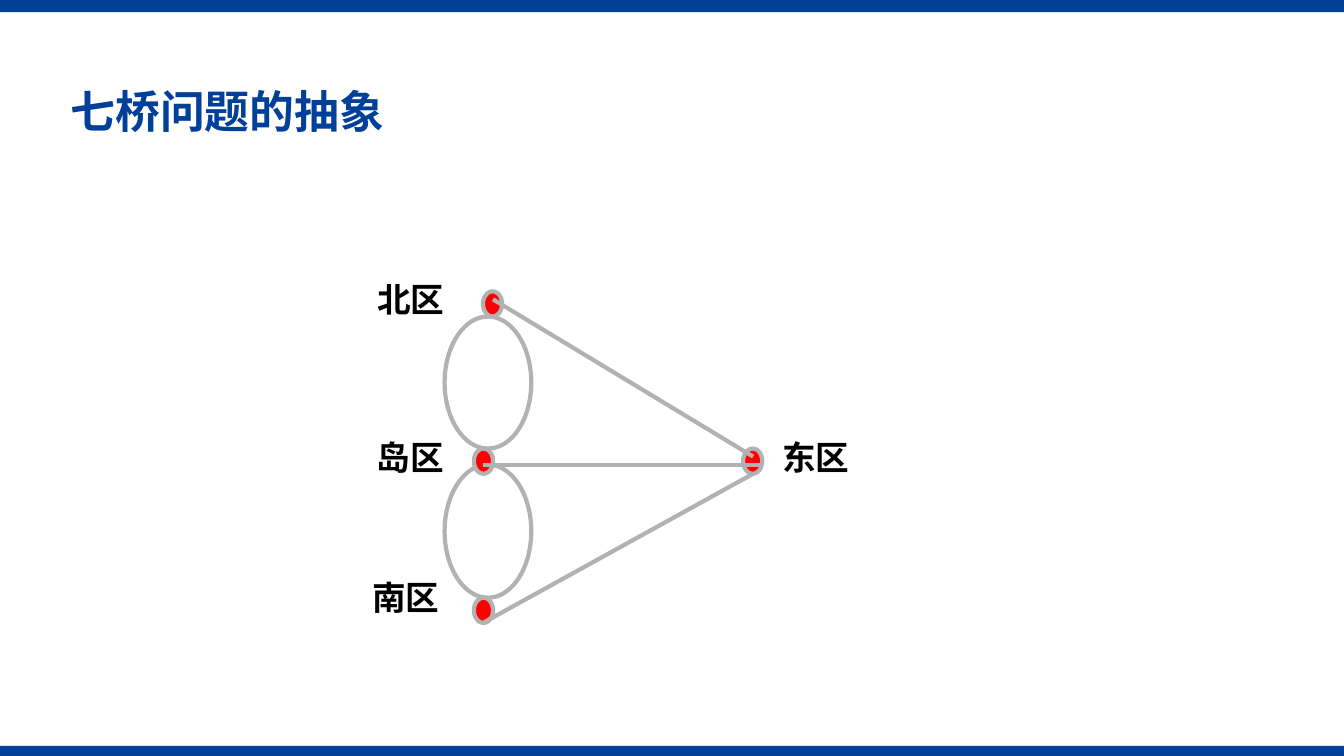
import pptx
import pptx.dml.color
import pptx.enum.shapes
import pptx.enum.text
import pptx.oxml.ns
import pptx.util
from dataclasses import dataclass
from lxml import etree

Inches = pptx.util.Inches
Pt = pptx.util.Pt
RGB = pptx.dml.color.RGBColor.from_string
SHAPE = pptx.enum.shapes.MSO_SHAPE
ALIGN = pptx.enum.text.PP_ALIGN
ANCHOR = pptx.enum.text.MSO_ANCHOR
qn = pptx.oxml.ns.qn


@dataclass(frozen=True)
class Theme:
    blue: str = "004098"
    gray: str = "B2B2B2"
    red: str = "FF0000"
    black: str = "000000"
    title_size: int = 32
    label_size: int = 24
    line_width: int = 3
    title_font: str = "Noto Sans CJK SC"
    label_font: str = "Times New Roman"
    cjk_font: str = "Noto Sans CJK SC"


THEME = Theme()


def apply(obj, values):
    for name, value in values.items():
        setattr(obj, name, value)


def set_line(line):
    line.color.rgb = RGB(THEME.gray)
    line.width = Pt(THEME.line_width)


def add_figure(s, kind, box, fill=None, outlined=True):
    sp = s.shapes.add_shape(kind, *map(Inches, box))
    sp.shadow.inherit = False
    if fill:
        sp.fill.solid()
        sp.fill.fore_color.rgb = RGB(fill)
    else:
        sp.fill.background()
    if outlined:
        set_line(sp.line)
    else:
        sp.line.fill.background()


def add_bridge(s, start, end):
    cx = s.shapes.add_connector(
        pptx.enum.shapes.MSO_CONNECTOR.STRAIGHT, *map(Inches, start + end))
    set_line(cx.line)
    etree.SubElement(cx._element.spPr, qn("a:effectLst"))


def add_text(s, text, box, frame, para, font, color):
    tf = s.shapes.add_textbox(*map(Inches, box)).text_frame
    apply(tf, {"word_wrap": True, **frame})
    p = tf.paragraphs[0]
    apply(p, para)
    r = p.add_run()
    r.text = text
    apply(r.font, {"bold": True, **font})
    r.font.color.rgb = RGB(color)
    ea = etree.SubElement(r.font._element, qn("a:ea"))
    ea.set("typeface", THEME.cjk_font)


def add_title(s, text):
    add_text(s, text, (0.6, 0.75, 12.26, 0.77),
             {"vertical_anchor": ANCHOR.MIDDLE},
             {"line_spacing": 0.9},
             {"name": THEME.title_font, "size": Pt(THEME.title_size)},
             THEME.blue)


def add_label(s, text, left, top, width):
    add_text(s, text, (left, top, width, 0.52),
             {"margin_left": Inches(0.07), "margin_right": Inches(0.07),
              "margin_top": Inches(0.04), "margin_bottom": Inches(0.04)},
             {"alignment": ALIGN.CENTER},
             {"name": THEME.label_font, "size": Pt(THEME.label_size)},
             THEME.black)


def main():
    prs = pptx.Presentation()
    apply(prs, {"slide_width": Inches(13.33), "slide_height": Inches(7.5)})
    s = prs.slides.add_slide(prs.slide_layouts[6])

    for top, height in ((7.4, 0.1), (0, 0.12)):
        add_figure(s, SHAPE.RECTANGLE, (0, top, 13.33, height),
                   THEME.blue, outlined=False)
    add_title(s, "七桥问题的抽象")

    for top, height in ((3.14, 1.31), (4.61, 1.32)):
        add_figure(s, SHAPE.OVAL, (4.41, top, 0.86, height))
    for left, top in ((4.79, 2.89), (7.37, 4.45), (4.7, 5.93), (4.7, 4.45)):
        add_figure(s, SHAPE.OVAL, (left, top, 0.19, 0.25), THEME.red)
    for start, end in (((4.89, 2.97), (7.47, 4.53)),
                       ((4.79, 4.61), (7.57, 4.61)),
                       ((7.47, 4.7), (4.79, 6.18))):
        add_bridge(s, start, end)

    for text, left, top, width in (("东区", 7.47, 4.29, 1.24),
                                   ("北区", 3.36, 2.73, 1.43),
                                   ("岛区", 3.45, 4.29, 1.24),
                                   ("南区", 3.45, 5.68, 1.15)):
        add_label(s, text, left, top, width)

    prs.save("out.pptx")


if __name__ == "__main__":
    main()
